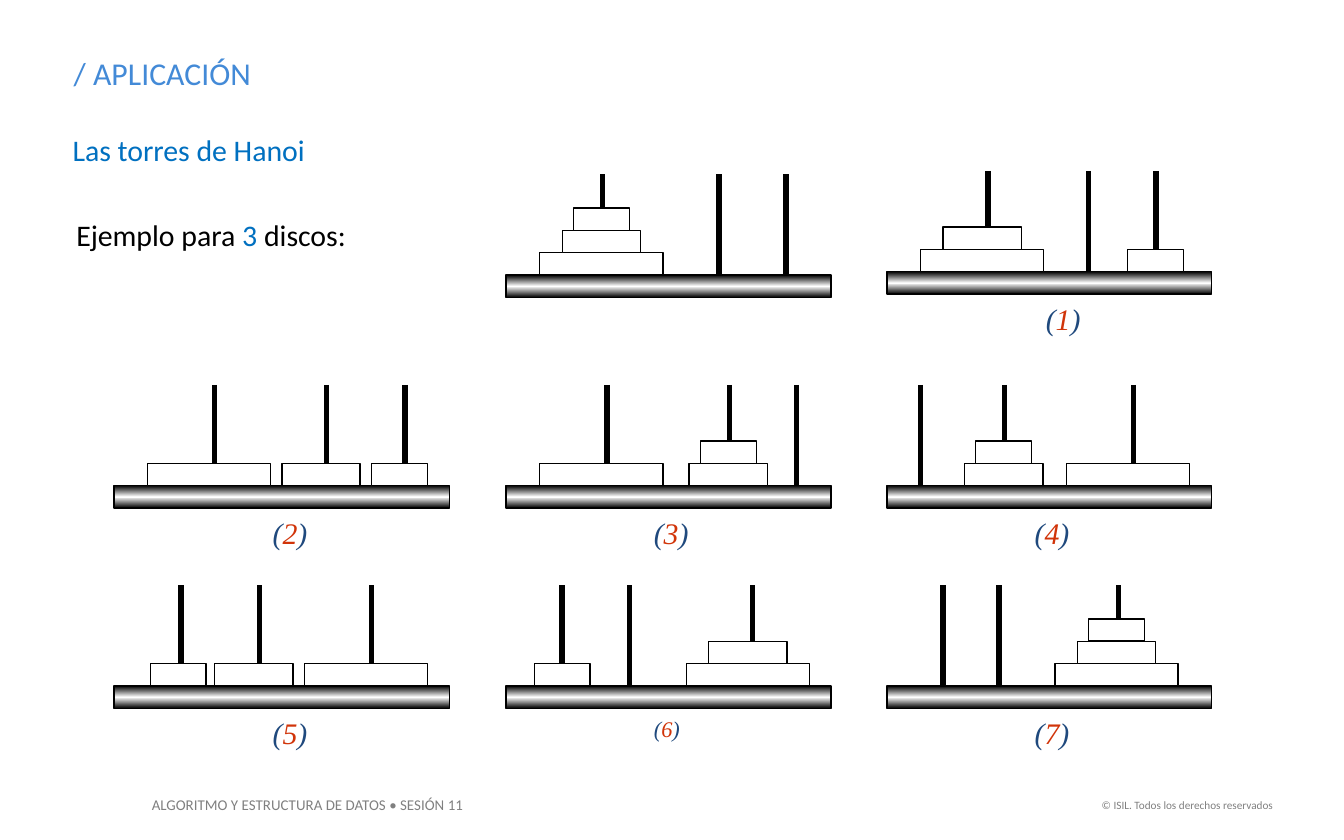
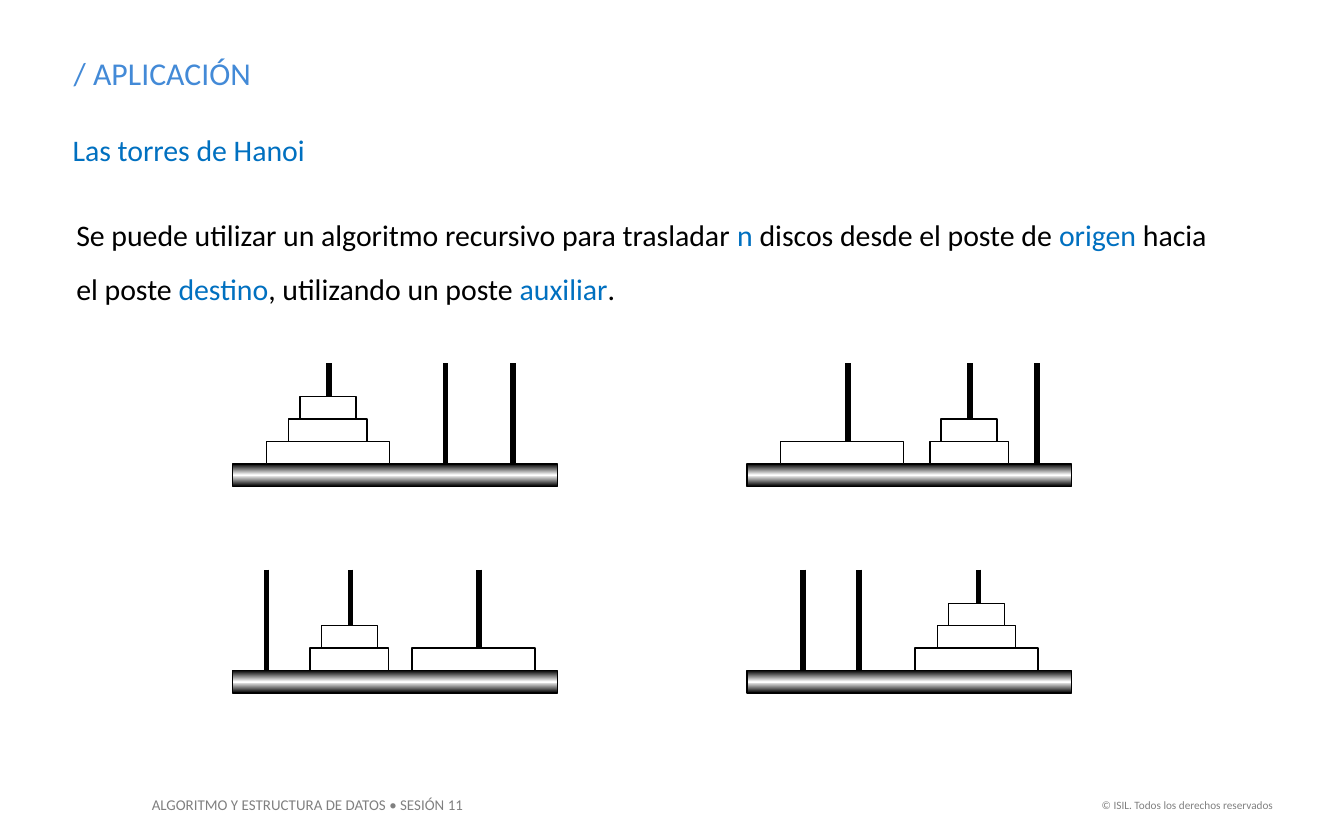
from copy import deepcopy
from dataclasses import dataclass

from pptx import Presentation
from pptx.dml.color import RGBColor as RGB
from pptx.enum.shapes import MSO_CONNECTOR as CONN, MSO_SHAPE as SHAPE
from pptx.enum.text import MSO_AUTO_SIZE as AUTO, PP_ALIGN as ALIGN
from pptx.oxml.ns import qn
from pptx.oxml.xmlchemy import OxmlElement
from pptx.util import Pt


@dataclass(frozen=True)
class Theme:
    title: RGB = RGB(0x43, 0x8A, 0xD7)
    accent: RGB = RGB(0x00, 0x70, 0xC0)
    black: RGB = RGB(0, 0, 0)
    white: RGB = RGB(255, 255, 255)
    gray: RGB = RGB(0x80, 0x80, 0x80)
    paren: RGB = RGB(0x1F, 0x49, 0x7D)
    number: RGB = RGB(0xD1, 0x34, 0x09)
    sans: str = "Calibri"
    serif: str = "Times New Roman"
    title_size: float = 17
    body_size: float = 16
    small_label_size: float = 12
    footer_size: float = 8
    rights_size: float = 6
    peg_line: float = 3
    outline: float = 0.75


T = Theme()

# Tower geometry, in points
PEG_H, BASE_H, DISC_H = 54, 12, 12
BASE_W, WIDE_BASE_W = 174, 180
DISC_W = {"L": 66, "M": 42, "S": 30}

# Each state lists its pegs: (peg x, discs from the bottom up, disc centre x)
START = [(51.5, "LMS", 51), (114, "", 0), (150, "", 0)]
STEP_1 = [(54, "LM", 51), (108, "", 0), (144, "S", 144)]
STEP_2 = [(54, "L", 51), (114, "M", 111), (156, "S", 153)]
STEP_3 = [(54, "L", 51), (119.5, "MS", 119), (155.5, "", 0)]
STEP_4 = [(18, "", 0), (63, "MS", 62.5), (132, "L", 129)]
STEP_5 = [(36, "S", 34.5), (78, "M", 75), (138, "L", 135)]
STEP_6 = [(30, "S", 30), (66, "", 0), (132, "LM", 129.5)]
STEP_7 = [(30, "", 0), (60, "", 0), (124, "LMS", 123)]


def add_text(shapes, box, text, size, color, accent=None, font=T.sans,
             italic=None, align=None, spacing=None, wrap=True, inset=True):
    """Write one paragraph; pieces between bars take the accent colour."""
    sp = shapes.add_textbox(*map(Pt, box))
    tf = sp.text_frame
    tf.word_wrap = wrap
    tf.auto_size = AUTO.SHAPE_TO_FIT_TEXT
    if not inset:
        tf.margin_left = tf.margin_right = tf.margin_top = tf.margin_bottom = 0
    p = tf.paragraphs[0]
    p.alignment = align
    p.line_spacing = spacing
    p.font.name, p.font.size, p.font.italic = font, Pt(size), italic
    if accent is None:
        p.font.color.rgb = color
    for i, piece in enumerate(text.split("|")):
        r = p.add_run()
        r.text = piece
        if accent is not None:
            r.font.color.rgb = accent if i % 2 else color


def add_rect(shapes, x, y, w, h):
    sp = shapes.add_shape(SHAPE.RECTANGLE, Pt(x), Pt(y), Pt(w), Pt(h))
    sp.shadow.inherit = False
    sp.fill.solid()
    sp.fill.fore_color.rgb = T.white
    sp.line.color.rgb = T.black
    sp.line.width = Pt(T.outline)
    return sp


def add_peg(shapes, x, top):
    peg = shapes.add_connector(CONN.STRAIGHT, Pt(x), Pt(top), Pt(x), Pt(top + PEG_H))
    peg.line.color.rgb = T.black
    peg.line.width = Pt(T.peg_line)
    peg._element.spPr.append(OxmlElement("a:effectLst"))


def shade_base(base):
    """Fill with a vertical black, white, black gradient."""
    fill = base.fill
    fill.gradient()
    fill.gradient_angle = 90
    stops = base._element.spPr.find(qn("a:gradFill")).find(qn("a:gsLst"))
    stops.append(deepcopy(stops[0]))
    for stop, pos, color in zip(fill.gradient_stops, (0, 0.5, 1),
                                (T.black, T.white, T.black)):
        stop.position = pos
        stop.color.rgb = color


def add_towers(slide, left, top, pegs, label=None, width=BASE_W,
               label_x=72, label_size=T.body_size):
    """Draw one state; left and top are the corner of its box."""
    shapes = slide.shapes.add_group_shape().shapes
    base_top = top + PEG_H
    for x, _, _ in pegs:
        add_peg(shapes, left + x, top)
    shade_base(add_rect(shapes, left, base_top, width, BASE_H))
    for _, discs, centre in pegs:
        for level, disc in enumerate(discs, 1):
            w = DISC_W[disc]
            add_rect(shapes, left + centre - w / 2, base_top - level * DISC_H, w, DISC_H)
    if label:
        add_text(shapes, (left + label_x, base_top + BASE_H, 42, 26.5), f"(|{label}|)",
                 label_size, T.paren, T.number, font=T.serif, italic=True)


def add_frame(prs):
    """Start a slide with its title, subtitle and footers."""
    slide = prs.slides.add_slide(prs.slide_layouts[6])
    shapes = slide.shapes
    add_text(shapes, (74.2, 422.6, 183.6, 17), "ALGORITMO Y ESTRUCTURA DE DATOS • SESIÓN 11",
             T.footer_size, T.gray, wrap=False)
    add_text(shapes, (581, 424, 108, 14.4), "© ISIL. Todos los derechos reservados",
             T.rights_size, T.gray, align=ALIGN.RIGHT, wrap=False)
    add_text(shapes, (32.4, 25.2, 567.4, 28), "/ APLICACIÓN", T.title_size, T.title)
    add_text(shapes, (38.9, 70.6, 156.2, 19.4), "Las torres de Hanoi",
             T.body_size, T.accent, inset=False)
    return slide


def add_body(slide, width, height, text):
    add_text(slide.shapes, (33.8, 103, width, height), text,
             T.body_size, T.black, T.accent, spacing=1.5)


def example_slide(prs):
    slide = add_frame(prs)
    add_body(slide, 176.4, 36, "Ejemplo para |3| discos:")
    cols = (61, 271.2, 475.2)
    row_2, row_3 = 206.2, 313.5
    wide = {"width": WIDE_BASE_W, "label_x": 78}
    # Starting position and first move
    add_towers(slide, cols[1], 93.4, START)
    add_towers(slide, cols[2], 91.6, STEP_1, "1", label_x=78)
    # Moves 2 to 4
    add_towers(slide, cols[0], row_2, STEP_2, "2", **wide)
    add_towers(slide, cols[1], row_2, STEP_3, "3")
    add_towers(slide, cols[2], row_2, STEP_4, "4")
    # Moves 5 to 7
    add_towers(slide, cols[0], row_3, STEP_5, "5", **wide)
    add_towers(slide, cols[1], row_3, STEP_6, "6", label_size=T.small_label_size)
    add_towers(slide, cols[2], row_3, STEP_7, "7")


def recursion_slide(prs):
    slide = add_frame(prs)
    add_body(slide, 622, 62.6,
             "Se puede utilizar un algoritmo recursivo para trasladar |n| discos desde "
             "el poste de |origen| hacia el poste |destino|, utilizando un poste |auxiliar|.")
    # Key states in a two by two grid
    for i, pegs in enumerate((START, STEP_3, STEP_4, STEP_7)):
        row, col = divmod(i, 2)
        add_towers(slide, 124.7 + 275.5 * col, 194.5 + 110.7 * row, pegs)


def main():
    prs = Presentation()
    prs.slide_width, prs.slide_height = Pt(720), Pt(450)
    example_slide(prs)
    recursion_slide(prs)
    prs.save("out.pptx")


if __name__ == "__main__":
    main()
